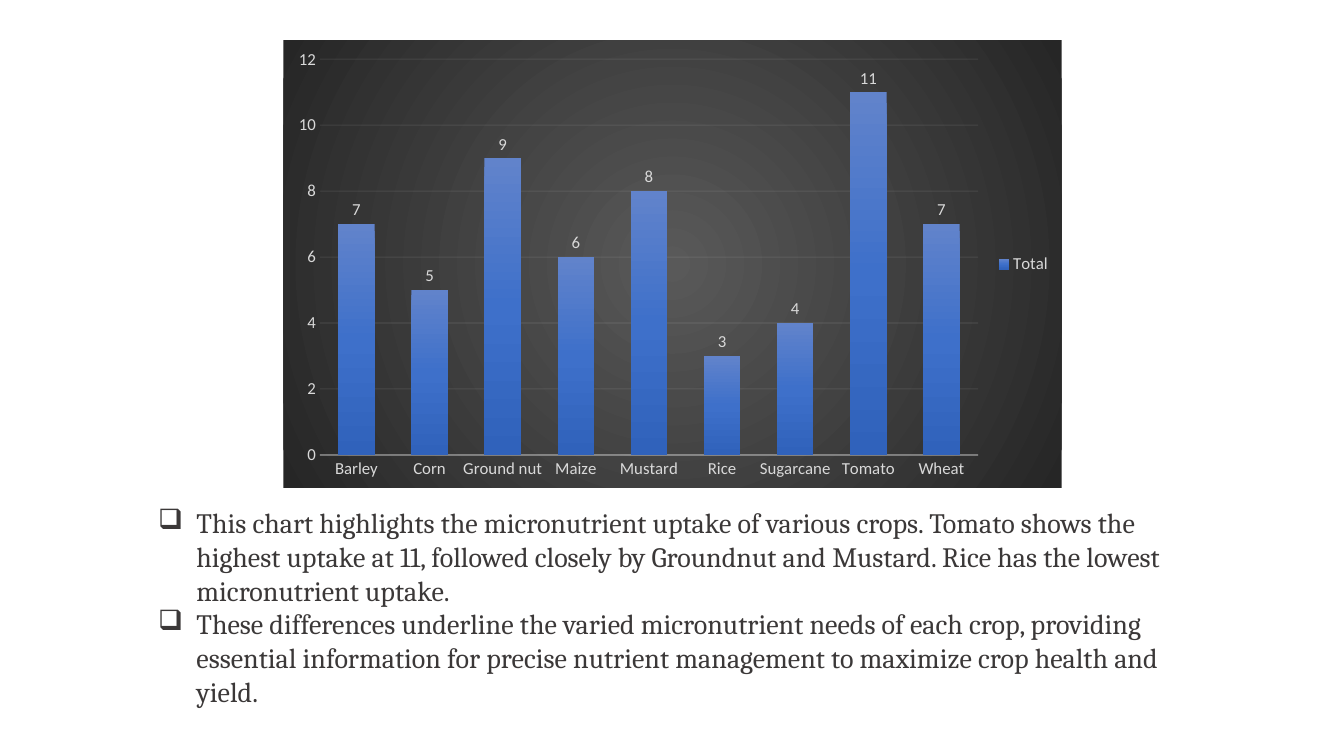
from lxml import etree
from pptx import Presentation
from pptx.chart.data import CategoryChartData
from pptx.dml.color import RGBColor
from pptx.enum.chart import (XL_CHART_TYPE as ChartType, XL_LABEL_POSITION as LabelPosition,
                             XL_LEGEND_POSITION as LegendPosition, XL_TICK_MARK as TickMark)
from pptx.enum.text import MSO_AUTO_SIZE as AutoSize
from pptx.oxml import parse_xml
from pptx.oxml.ns import nsdecls, qn
from pptx.util import Inches, Pt

COLORS = {
    "text": "3B3838", "chart_text": "D9D9D9", "chart_line": "F2F2F2",
    "glow": "595959", "edge": "262626",
    "bar_top": "6183CB", "bar_middle": "3E70CA", "bar_bottom": "3062BB",
}
UPTAKE = {
    "Barley": 7, "Corn": 5, "Ground nut": 9, "Maize": 6, "Mustard": 8,
    "Rice": 3, "Sugarcane": 4, "Tomato": 11, "Wheat": 7,
}
FINDINGS = [
    "This chart highlights the micronutrient uptake of various crops. Tomato shows the highest "
    "uptake at 11, followed closely by Groundnut and Mustard. Rice has the lowest micronutrient "
    "uptake.",
    "These differences underline the varied micronutrient needs of each crop, providing essential "
    "information for precise nutrient management to maximize crop health and yield.",
]
BAR_SHADE = '<a:lin ang="5400000" scaled="0"/>'
CENTRE_GLOW = ('<a:path path="circle"><a:fillToRect l="50000" t="50000" r="50000" b="50000"/>'
               '</a:path>')


def set_all(target, values):
    for name, value in values.items():
        setattr(target, name, value)


def gradient(names, direction):
    """Return a gradient fill with evenly spaced stops in the named colours."""
    step = 100000 // (len(names) - 1)
    stops = "".join(f'<a:gs pos="{i * step}"><a:srgbClr val="{COLORS[name]}"/></a:gs>'
                    for i, name in enumerate(names))
    return parse_xml(f'<a:gradFill {nsdecls("a")} rotWithShape="1"><a:gsLst>{stops}</a:gsLst>'
                     f'{direction}</a:gradFill>')


class SlideBuilder:
    chart_font = {"name": "Calibri", "size": Pt(12)}
    body_font = {"name": "Cambria", "size": Pt(20)}

    def __init__(self, deck):
        self.page = deck.slides.add_slide(deck.slide_layouts[6])

    def style_font(self, font, values, color):
        set_all(font, values)
        font.color.rgb = RGBColor.from_string(COLORS[color])

    def style_line(self, owner, width, opacity):
        """Draw an axis or gridline in the chart line colour, opacity in percent."""
        line = owner.format.line
        line.width = Pt(width)
        line.color.rgb = RGBColor.from_string(COLORS["chart_line"])
        color = line.color._xFill.find(qn("a:srgbClr"))
        etree.SubElement(color, qn("a:alpha"), val=str(opacity * 1000))

    def column_chart(self, name, values, left, top, width, height):
        data = CategoryChartData()
        data.categories = list(values)
        data.add_series(name, list(values.values()))
        chart = self.page.shapes.add_chart(
            ChartType.COLUMN_CLUSTERED, Inches(left), Inches(top), Inches(width),
            Inches(height), data).chart
        set_all(chart, {"has_title": False, "has_legend": True})
        self.style_font(chart.font, self.chart_font, "chart_text")
        set_all(chart.legend, {"position": LegendPosition.RIGHT, "include_in_layout": False})
        self.style_font(chart.legend.font, self.chart_font, "chart_text")

        background = parse_xml(f'<c:spPr {nsdecls("c", "a")}><a:ln><a:noFill/></a:ln></c:spPr>')
        background.insert(0, gradient(["glow", "edge"], CENTRE_GLOW))
        chart._chartSpace.find(qn("c:chart")).addnext(background)

        for axis in (chart.category_axis, chart.value_axis):
            set_all(axis, {"major_tick_mark": TickMark.NONE, "minor_tick_mark": TickMark.NONE})
            self.style_font(axis.tick_labels.font, self.chart_font, "chart_text")
        self.style_line(chart.category_axis, 1, 54)
        set_all(chart.value_axis, {"minimum_scale": 0, "maximum_scale": 12, "major_unit": 2})
        chart.value_axis.format.line.fill.background()
        self.style_line(chart.value_axis.major_gridlines, 0.75, 10)

        plot = chart.plots[0]
        set_all(plot, {"gap_width": 100, "overlap": -24, "vary_by_categories": False,
                       "has_data_labels": True})
        set_all(plot.data_labels, {"show_value": True, "position": LabelPosition.OUTSIDE_END})
        self.style_font(plot.data_labels.font, self.chart_font, "chart_text")
        bars = plot.series[0]._element.get_or_add_spPr()
        bars.append(gradient(["bar_top", "bar_middle", "bar_bottom"], BAR_SHADE))

    def bullet_list(self, items, left, top, width, height):
        box = self.page.shapes.add_textbox(Inches(left), Inches(top), Inches(width),
                                           Inches(height))
        frame = box.text_frame
        set_all(frame, {"word_wrap": True, "auto_size": AutoSize.SHAPE_TO_FIT_TEXT})
        for i, item in enumerate(items):
            para = frame.add_paragraph() if i else frame.paragraphs[0]
            span = para.add_run()
            span.text = item
            self.style_font(span.font, self.body_font, "text")
            layout = para._p.get_or_add_pPr()
            layout.set("marL", str(Inches(0.38)))
            layout.set("indent", str(Inches(-0.38)))
            etree.SubElement(layout, qn("a:buChar"), char="❑")


def main():
    deck = Presentation()
    set_all(deck, {"slide_width": Inches(13.33), "slide_height": Inches(7.5)})
    builder = SlideBuilder(deck)
    builder.column_chart("Total", UPTAKE, 2.81, 0.4, 7.72, 4.44)
    builder.bullet_list(FINDINGS, 1.47, 4.97, 10.39, 2.12)
    deck.save("out.pptx")


if __name__ == "__main__":
    main()
